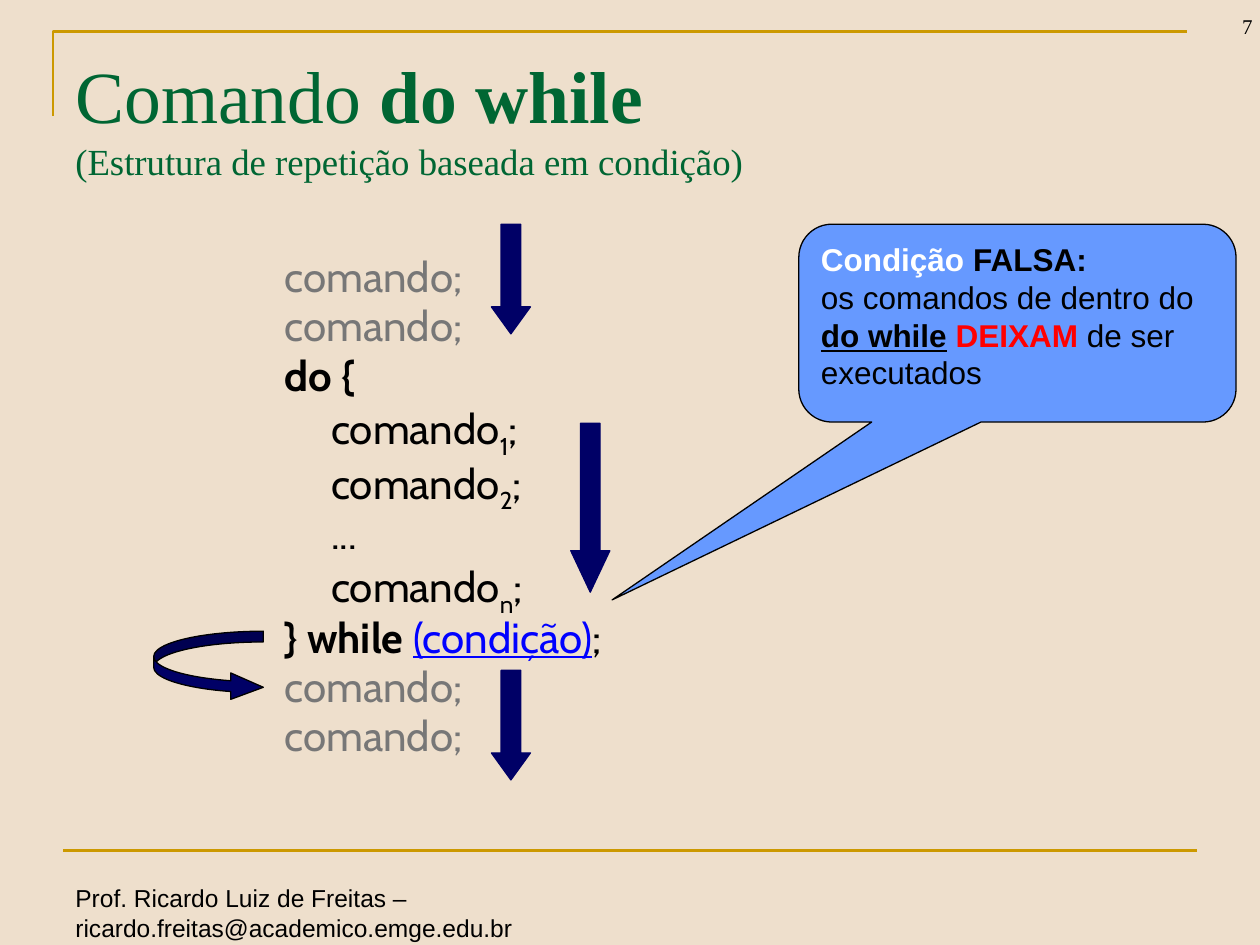
from pptx import Presentation
from pptx import util as u
from pptx.dml.color import RGBColor
from pptx.enum import shapes, text
from pptx.oxml.ns import qn
from lxml import etree

Inches = u.Inches
GOLD, GREEN, NAVY, BLUE = "CC9900", "006633", "000066", "6699FF"
BLACK, GRAY, WHITE, RED, LINK = "000000", "777777", "FFFFFF", "FF0000", "0000FF"


def color(value):
    return RGBColor.from_string(value)


def add_run(paragraph, content, font="Arial", size=18, fill=BLACK, bold=False,
            underline=False, baseline=0):
    run = paragraph.add_run()
    run.text = content
    run.font.name = font
    run.font.size = u.Pt(size)
    run.font.color.rgb = color(fill)
    run.font.bold = bold
    run.font.underline = underline
    if baseline:
        run._r.get_or_add_rPr().set("baseline", str(baseline * 1000))


def write_text(frame, paragraphs, anchor=text.MSO_ANCHOR.TOP, align=text.PP_ALIGN.LEFT,
               **base):
    """Write paragraphs, each a list of (text, format) runs, over a base format."""
    frame.word_wrap = True
    frame.vertical_anchor = anchor
    for index, runs in enumerate(paragraphs):
        paragraph = frame.add_paragraph() if index else frame.paragraphs[0]
        paragraph.alignment = align
        for content, style in runs:
            if content == "\n":
                paragraph.add_line_break()
            else:
                add_run(paragraph, content, **{**base, **style})


def add_text(slide, box, paragraphs, **options):
    frame = slide.shapes.add_textbox(*map(Inches, box)).text_frame
    write_text(frame, paragraphs, **options)
    return frame


def add_shape(slide, kind, box, adjustments, fill, line):
    shape = slide.shapes.add_shape(kind, *map(Inches, box))
    for index, value in enumerate(adjustments):
        shape.adjustments[index] = value
    shape.shadow.inherit = False
    shape.fill.solid()
    shape.fill.fore_color.rgb = color(fill)
    shape.line.color.rgb = color(line)
    shape.line.width = u.Pt(0.75)
    return shape


def add_frame_lines(slide, left, top, width, height):
    """Draw the gold corner at the top and the rule above the footer."""
    builder = slide.shapes.build_freeform(Inches(left), Inches(top + 0.67))
    builder.add_line_segments([(Inches(left), Inches(top)),
                               (Inches(left + width), Inches(top))], close=False)
    corner = builder.convert_to_shape()
    corner.fill.background()
    corner.shadow.inherit = False
    rule_left, rule_top = left + 0.08, top + height
    rule = slide.shapes.add_connector(
        shapes.MSO_CONNECTOR.STRAIGHT, Inches(rule_left), Inches(rule_top),
        Inches(rule_left + width), Inches(rule_top))
    for shape in (corner, rule):
        shape.line.color.rgb = color(GOLD)
        shape.line.width = u.Pt(1.5)
    etree.SubElement(rule._element.spPr, qn("a:effectLst"))


def add_title(slide, box):
    add_text(slide, box, [[
        ("Comando ", {}), ("do while", {"bold": True}), ("\n", {}),
        ("(Estrutura de repetição baseada em condição)", {"size": 21}),
    ]], anchor=text.MSO_ANCHOR.MIDDLE, font="Times New Roman", size=42, fill=GREEN)


def add_code(slide, box):
    outside = [("comando;", {"fill": GRAY})]

    def numbered(index):
        return [("comando", {}), (index, {"baseline": -25}), (";", {})]

    body = [numbered("1"), numbered("2"), [("...", {})], numbered("n")]
    lines = [
        outside, outside, [("do {", {"bold": True})], *body,
        [("} while ", {"bold": True}),
         ("(condição)", {"fill": LINK, "underline": True}), (";", {})],
        outside, outside,
    ]
    frame = add_text(slide, box, lines, font="Cabin", size=24)
    for index, paragraph in enumerate(frame.paragraphs):
        paragraph.line_spacing = 0.8
        if index:
            paragraph.space_before = u.Pt(5)
        if lines[index] in body:
            properties = paragraph._p.get_or_add_pPr()
            properties.set("marL", str(Inches(0.37)))
            properties.set("indent", "0")


def add_flow_arrows(slide, left, top):
    """Place the arrows that follow the order in which the code runs."""
    down = shapes.MSO_SHAPE.DOWN_ARROW
    for x, y, height, head in ((2.68, 3.54, 0.87, 0.69), (3.31, 1.58, 1.34, 1.06),
                               (2.68, 0, 0.87, 0.69)):
        add_shape(slide, down, (left + x, top + y, 0.31, height), (0.5, head), NAVY, NAVY)
    add_shape(slide, shapes.MSO_SHAPE.CURVED_RIGHT_ARROW,
              (left, top + 3.23, 0.87, 0.55), (0.155, 0.382, 0.47), NAVY, BLACK)


def add_callout(slide, box):
    bold = {"bold": True}
    callout = add_shape(slide, shapes.MSO_SHAPE.ROUNDED_RECTANGULAR_CALLOUT, box,
                        (-0.927, 1.399, 0.167), BLUE, BLACK)
    write_text(callout.text_frame, [
        [("Condição", {"bold": True, "fill": WHITE}), (" FALSA:", bold)],
        [("os comandos de dentro do ", {}),
         ("do while", {"bold": True, "underline": True}), (" ", bold),
         ("DEIXAM", {"bold": True, "fill": RED}), (" de ser executados", {})],
    ])


def build_slide(presentation):
    slide = presentation.slides.add_slide(presentation.slide_layouts[6])
    slide.background.fill.solid()
    slide.background.fill.fore_color.rgb = color("EEDFCC")
    add_frame_lines(slide, 0.42, 0.25, 9, 6.5)
    footer = "Prof. Ricardo Luiz de Freitas – ricardo.freitas@academico.emge.edu.br"
    add_text(slide, (0.5, 6.96, 6.25, 0.34), [[(footer, {})]], size=14)
    add_text(slide, (9.29, -0.14, 0.75, 0.5), [[("7", {})]], size=12,
             font="Times New Roman", anchor=text.MSO_ANCHOR.BOTTOM,
             align=text.PP_ALIGN.RIGHT)
    add_title(slide, (0.5, 0.3, 9, 1.25))
    add_code(slide, (2.16, 2.02, 7.32, 4.06))
    add_flow_arrows(slide, 1.22, 1.78)
    add_callout(slide, (6.34, 1.78, 3.47, 1.57))


def main():
    presentation = Presentation()
    presentation.slide_width = Inches(10)
    presentation.slide_height = Inches(7.5)
    build_slide(presentation)
    presentation.save("out.pptx")


if __name__ == "__main__":
    main()
